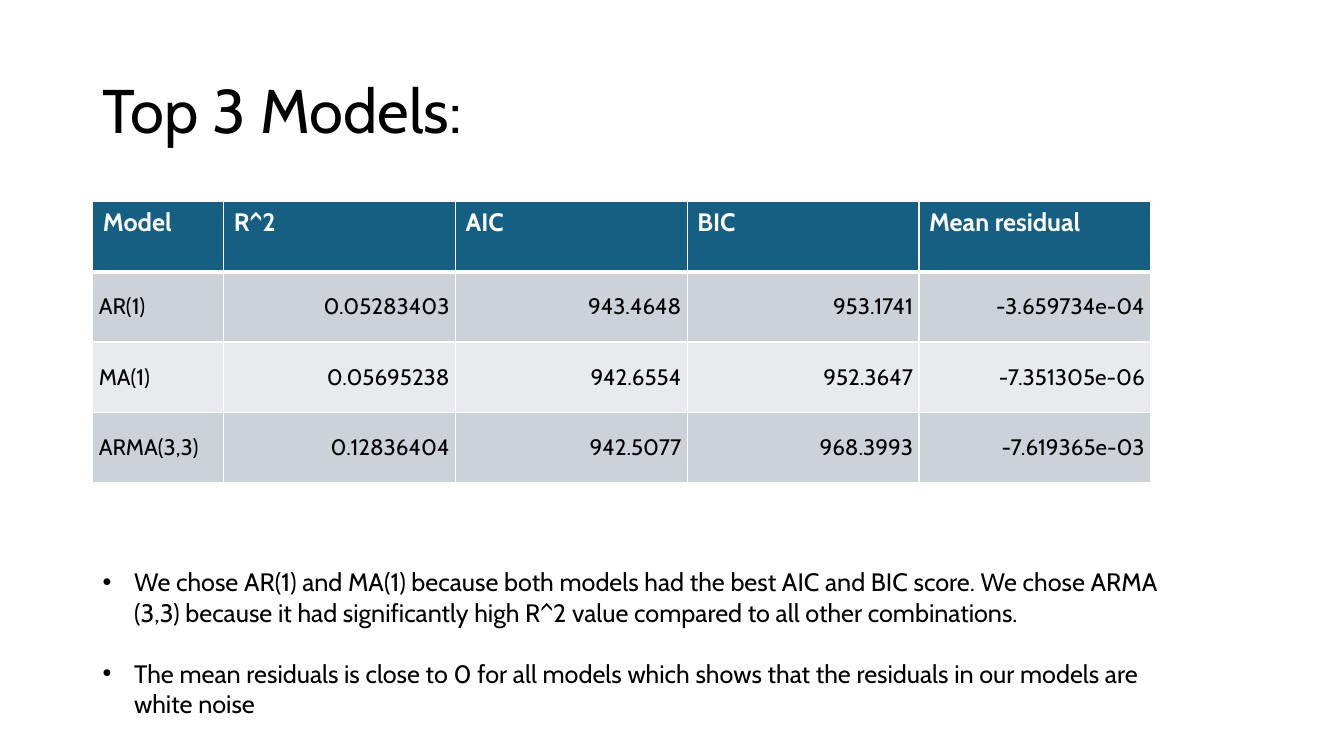
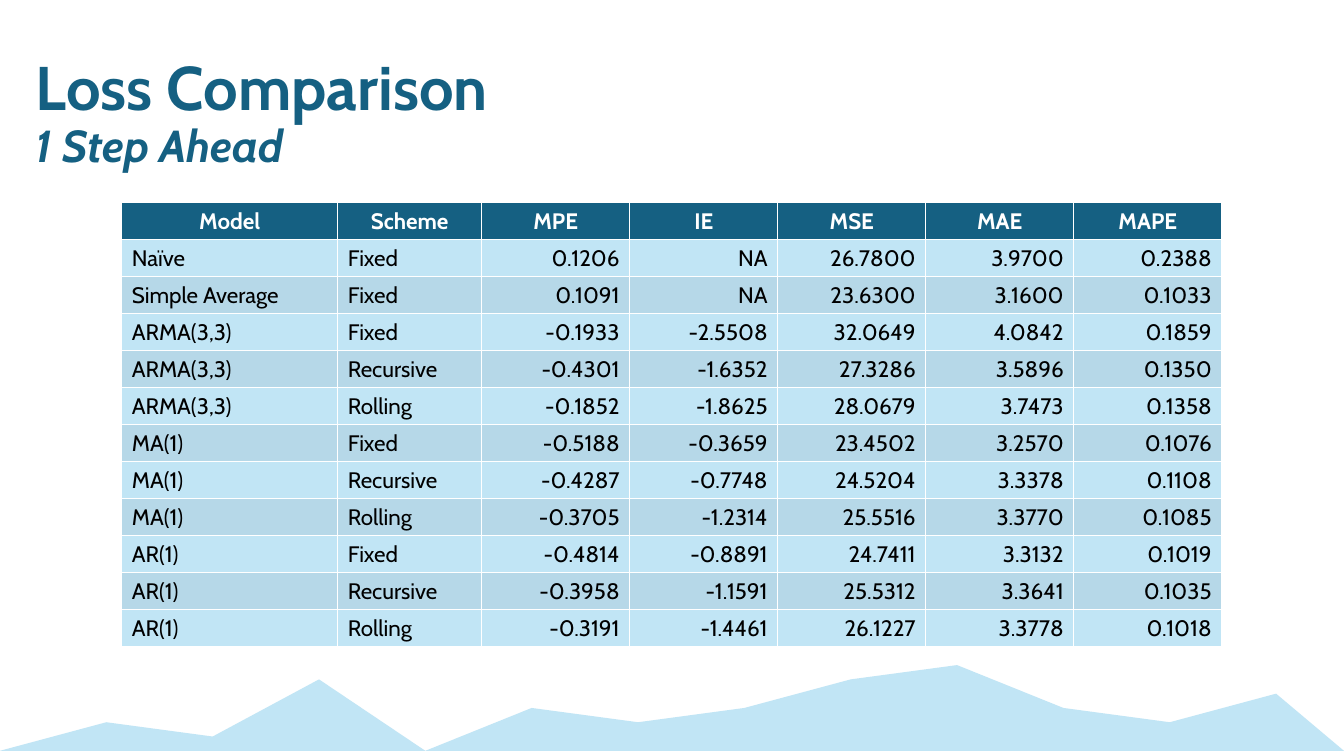
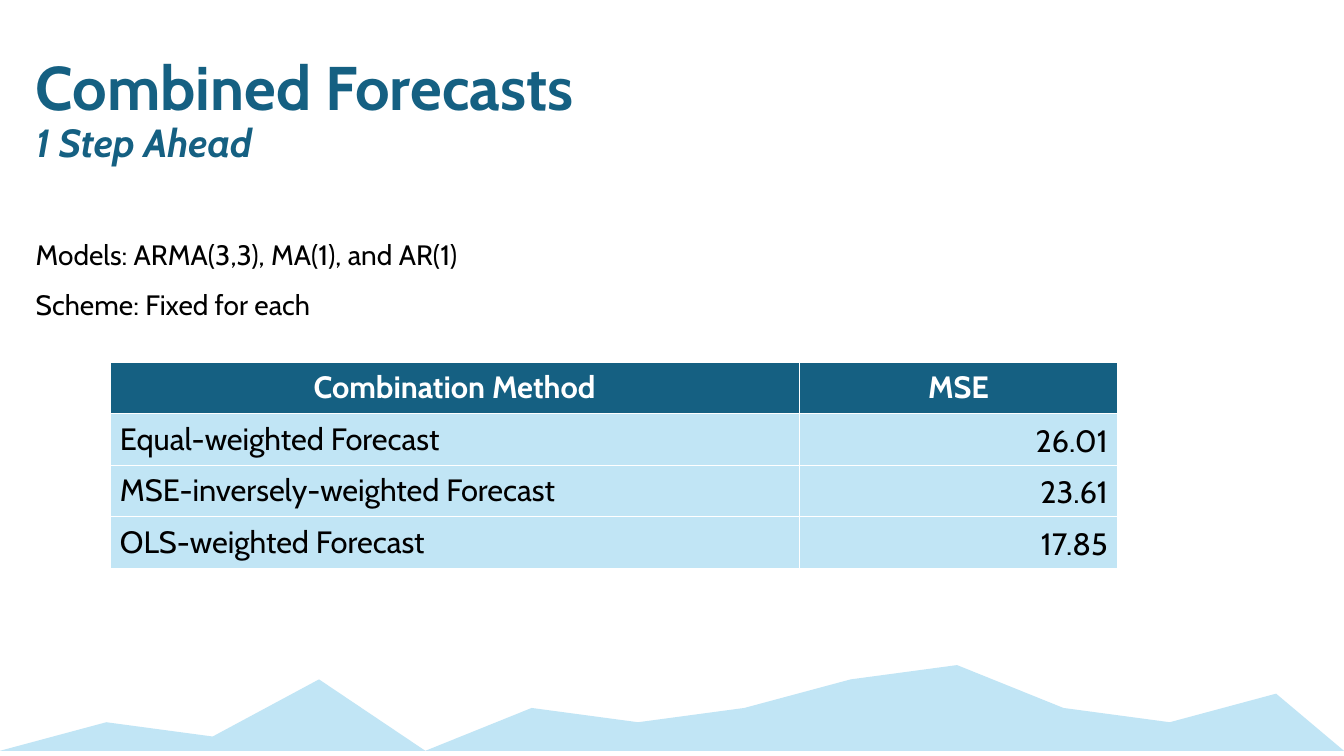
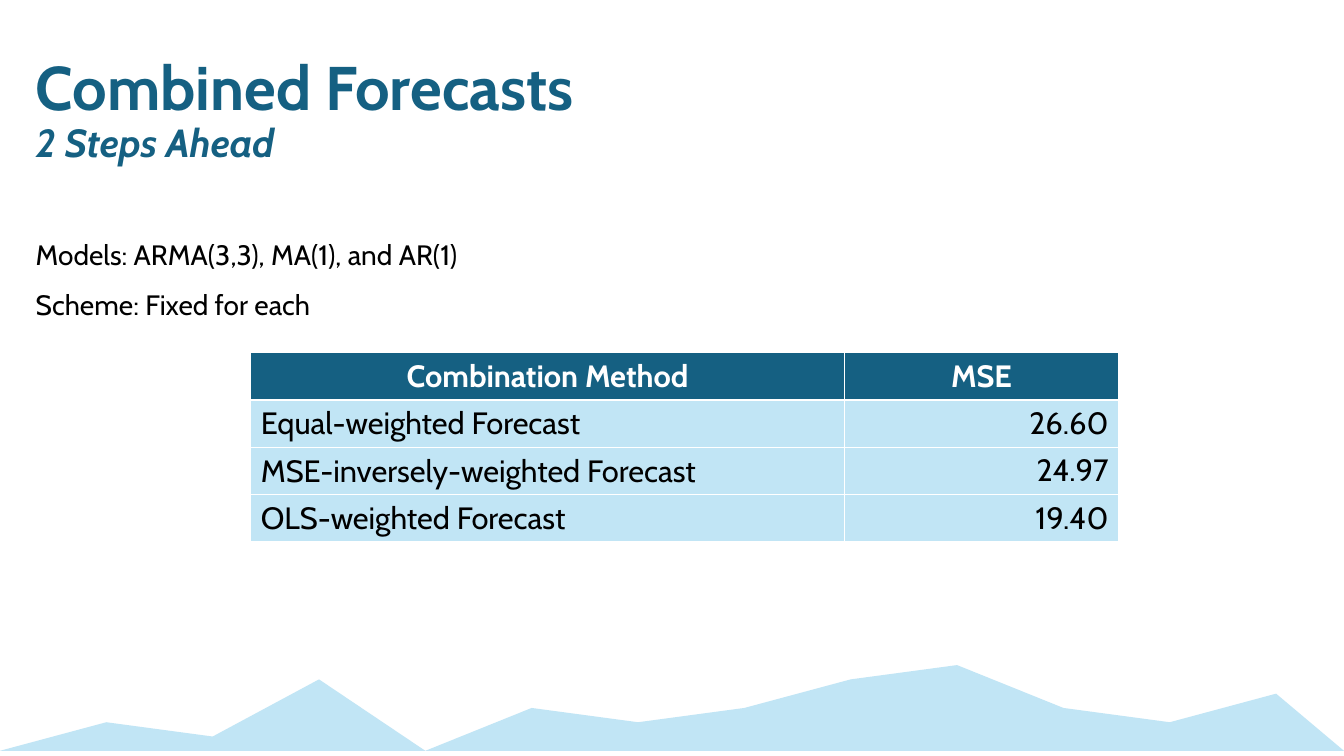
"""Build four slides comparing time series models and their forecasts."""
from dataclasses import dataclass

from lxml.etree import SubElement
from pptx import Presentation
from pptx.dml.color import RGBColor
from pptx.enum.text import MSO_ANCHOR, PP_ALIGN
from pptx.oxml.ns import qn
from pptx.util import Cm, Pt


@dataclass(frozen=True)
class Theme:
    """Hold the colours, font and type sizes of the deck."""
    font: str = "Cabin"
    dark: str = "156082"
    light: str = "C1E5F5"
    light_alt: str = "B6D8E8"
    grey: str = "CCD2D8"
    grey_alt: str = "E8EAED"
    black: str = "000000"
    white: str = "FFFFFF"
    title: int = 44
    subtitle: int = 32
    subtitle_small: int = 28
    method: int = 22
    lead: int = 20
    body: int = 18
    cell: int = 16


THEME = Theme()
SLIDE_WIDTH, SLIDE_HEIGHT = 33.87, 19.05
RIDGE_BASE, RIDGE_STEP, RIDGE_UNIT = 18.92, 2.68, 0.36
RIDGE_PEAKS = (2, 1, 5, 0, 3, 2, 3, 5, 6, 3, 2, 4)

TOP_MODELS = (
    ("Model", "R^2", "AIC", "BIC", "Mean residual"),
    ("AR(1)", "0.05283403", "943.4648", "953.1741", "-3.659734e-04"),
    ("MA(1)", "0.05695238", "942.6554", "952.3647", "-7.351305e-06"),
    ("ARMA(3,3)", "0.12836404", "942.5077", "968.3993", "-7.619365e-03"),
)
REASONS = (
    "We chose AR(1) and MA(1) because both models had the best AIC and BIC score. "
    "We chose ARMA (3,3) because it had significantly high R^2 value compared to "
    "all other combinations.",
    "The mean residuals is close to 0 for all models which shows that the "
    "residuals in our models are white noise",
)
LOSSES = (
    ("Model", "Scheme", "MPE", "IE", "MSE", "MAE", "MAPE"),
    ("Naïve", "Fixed", "0.1206", "NA", "26.7800", "3.9700", "0.2388"),
    ("Simple Average", "Fixed", "0.1091", "NA", "23.6300", "3.1600", "0.1033"),
    ("ARMA(3,3)", "Fixed", "-0.1933", "-2.5508", "32.0649", "4.0842", "0.1859"),
    ("ARMA(3,3)", "Recursive", "-0.4301", "-1.6352", "27.3286", "3.5896", "0.1350"),
    ("ARMA(3,3)", "Rolling", "-0.1852", "-1.8625", "28.0679", "3.7473", "0.1358"),
    ("MA(1)", "Fixed", "-0.5188", "-0.3659", "23.4502", "3.2570", "0.1076"),
    ("MA(1)", "Recursive", "-0.4287", "-0.7748", "24.5204", "3.3378", "0.1108"),
    ("MA(1)", "Rolling", "-0.3705", "-1.2314", "25.5516", "3.3770", "0.1085"),
    ("AR(1)", "Fixed", "-0.4814", "-0.8891", "24.7411", "3.3132", "0.1019"),
    ("AR(1)", "Recursive", "-0.3958", "-1.1591", "25.5312", "3.3641", "0.1035"),
    ("AR(1)", "Rolling", "-0.3191", "-1.4461", "26.1227", "3.3778", "0.1018"),
)
METHODS = ("Equal-weighted Forecast", "MSE-inversely-weighted Forecast",
           "OLS-weighted Forecast")


def write_text(frame, text, size=THEME.body, color=THEME.black, bold=False,
               italic=False, align=PP_ALIGN.LEFT, line=1.0, before=0):
    """Write one formatted paragraph into a text frame and return it."""
    para = frame.paragraphs[0] if not frame.text else frame.add_paragraph()
    para.alignment = align
    para.line_spacing = line
    para.space_before = Pt(before)
    span = para.add_run()
    span.text = text
    span.font.name = THEME.font
    span.font.size = Pt(size)
    span.font.bold = bold
    span.font.italic = italic
    span.font.color.rgb = RGBColor.from_string(color)
    return para


def add_text_box(page, left, top, width, height, inset=0.13, anchor=MSO_ANCHOR.TOP):
    """Add a wrapping text box and return its text frame."""
    frame = page.shapes.add_textbox(Cm(left), Cm(top), Cm(width), Cm(height)).text_frame
    frame.word_wrap = True
    frame.vertical_anchor = anchor
    frame.margin_left = frame.margin_right = Cm(0.25)
    frame.margin_top = frame.margin_bottom = Cm(inset)
    return frame


def add_bullet(frame, text, before=0):
    """Add a bulleted paragraph with a hanging indent."""
    props = write_text(frame, text, before=before)._p.get_or_add_pPr()
    props.set("marL", str(Cm(0.79)))
    props.set("indent", str(-Cm(0.79)))
    SubElement(props, qn("a:buFont"), typeface="Arial")
    SubElement(props, qn("a:buChar"), char="•")


def set_borders(cell, top, bottom):
    """Draw white borders around a cell with the given top and bottom points."""
    props = cell._tc.get_or_add_tcPr()
    for side, width in (("L", 1), ("R", 1), ("T", top), ("B", bottom)):
        border = SubElement(props, qn(f"a:ln{side}"), w=str(Pt(width)))
        SubElement(SubElement(border, qn("a:solidFill")), qn("a:srgbClr"), val=THEME.white)


def fill_cell(cell, text, fill, anchor, **style):
    """Set the fill, anchor and text of a table cell."""
    cell.fill.solid()
    cell.fill.fore_color.rgb = RGBColor.from_string(fill)
    cell.vertical_anchor = anchor
    write_text(cell.text_frame, text, **style)


def add_data_table(page, left, top, widths, row_height, data, size,
                   fills=(THEME.light,), labels=1, header_size=None, header_rule=1,
                   header_align=PP_ALIGN.CENTER, header_anchor=MSO_ANCHOR.MIDDLE,
                   number_anchor=MSO_ANCHOR.BOTTOM, margins=None):
    """Add a table with a dark header, label columns and right-aligned numbers."""
    table = page.shapes.add_table(len(data), len(widths), Cm(left), Cm(top),
                                  Cm(sum(widths)), Cm(row_height * len(data))).table
    for column, width in zip(table.columns, widths):
        column.width = Cm(width)
    for index, values in enumerate(data):
        table.rows[index].height = Cm(row_height)
        for place, text in enumerate(values):
            cell = table.cell(index, place)
            set_borders(cell, header_rule if index == 1 else 1,
                        header_rule if index == 0 else 1)
            if index == 0:
                fill_cell(cell, text, THEME.dark, header_anchor, size=header_size or size,
                          color=THEME.white, bold=True, align=header_align)
                continue
            is_label = place < labels
            fill_cell(cell, text, fills[(index - 1) % len(fills)],
                      MSO_ANCHOR.MIDDLE if is_label else number_anchor, size=size,
                      align=PP_ALIGN.LEFT if is_label else PP_ALIGN.RIGHT)
            if margins:
                cell.margin_left = cell.margin_right = Cm(margins[0])
                cell.margin_top = cell.margin_bottom = Cm(margins[1])


def add_ridge(page):
    """Draw the pale mountain ridge along the foot of the page."""
    points = [(Cm(RIDGE_STEP * step), Cm(RIDGE_BASE - RIDGE_UNIT * peak))
              for step, peak in enumerate(RIDGE_PEAKS, start=1)]
    points.append((Cm(SLIDE_WIDTH), Cm(RIDGE_BASE)))
    builder = page.shapes.build_freeform(0, Cm(RIDGE_BASE))
    builder.add_line_segments(points)
    ridge = builder.convert_to_shape()
    ridge.shadow.inherit = False
    ridge.fill.solid()
    ridge.fill.fore_color.rgb = RGBColor.from_string(THEME.light)
    ridge.line.fill.background()


def add_page(deck):
    """Add an empty page on the blank layout."""
    return deck.slides.add_slide(deck.slide_layouts[6])


def add_ridge_page(deck, title, subtitle, subtitle_size):
    """Add a page with the ridge and a two-line heading."""
    page = add_page(deck)
    add_ridge(page)
    frame = add_text_box(page, 0.65, 1.19, 33.2, 1.65, inset=0.25)
    heading = {"color": THEME.dark, "bold": True, "line": 0.9}
    write_text(frame, title, size=THEME.title, **heading)
    write_text(frame, subtitle, size=subtitle_size, italic=True, **heading)
    return page, frame


def add_top_models(deck):
    """Add the page that presents the three chosen models."""
    page = add_page(deck)
    frame = add_text_box(page, 2.34, 1.02, 29.21, 3.68, anchor=MSO_ANCHOR.MIDDLE)
    write_text(frame, "Top 3 Models:", size=THEME.title, line=0.9)
    add_data_table(page, 2.34, 5.08, [3.3] + [5.84] * 4, 1.77, TOP_MODELS, THEME.cell,
                   fills=(THEME.grey, THEME.grey_alt), header_size=THEME.body,
                   header_rule=3, header_align=PP_ALIGN.LEFT,
                   header_anchor=MSO_ANCHOR.TOP, number_anchor=MSO_ANCHOR.MIDDLE,
                   margins=(0.15, 0.05))
    reasons = add_text_box(page, 2.34, 14.15, 27.15, 4.11)
    for index, reason in enumerate(REASONS):
        add_bullet(reasons, reason, before=22 if index else 0)


def add_losses(deck):
    """Add the page that compares the losses of all models."""
    page, _ = add_ridge_page(deck, "Loss Comparison", "1 Step Ahead", THEME.subtitle)
    add_data_table(page, 3.07, 5.11, [5.44, 3.63] + [3.73] * 5, 0.93, LOSSES, THEME.cell,
                   fills=(THEME.light, THEME.light_alt), labels=2)


def add_combined(deck, horizon, errors, left, top, widths, row_height):
    """Add a page on combined forecasts for one horizon."""
    page, frame = add_ridge_page(deck, "Combined Forecasts", horizon, THEME.subtitle_small)
    write_text(frame, "Models: ARMA(3,3), MA(1), and AR(1)", size=THEME.lead,
               line=1.5, before=39)
    write_text(frame, "Scheme: Fixed for each", size=THEME.lead, line=1.5)
    data = [("Combination Method", "MSE"), *zip(METHODS, errors)]
    add_data_table(page, left, top, widths, row_height, data, THEME.method)


def main():
    """Build and save the deck."""
    deck = Presentation()
    deck.slide_width, deck.slide_height = Cm(SLIDE_WIDTH), Cm(SLIDE_HEIGHT)
    add_top_models(deck)
    add_losses(deck)
    add_combined(deck, "1 Step Ahead", ("26.01", "23.61", "17.85"),
                 2.77, 9.12, (17.37, 8.03), 1.3)
    add_combined(deck, "2 Steps Ahead", ("26.60", "24.97", "19.40"),
                 6.32, 8.89, (14.96, 6.91), 1.19)
    deck.save("out.pptx")


if __name__ == "__main__":
    main()
